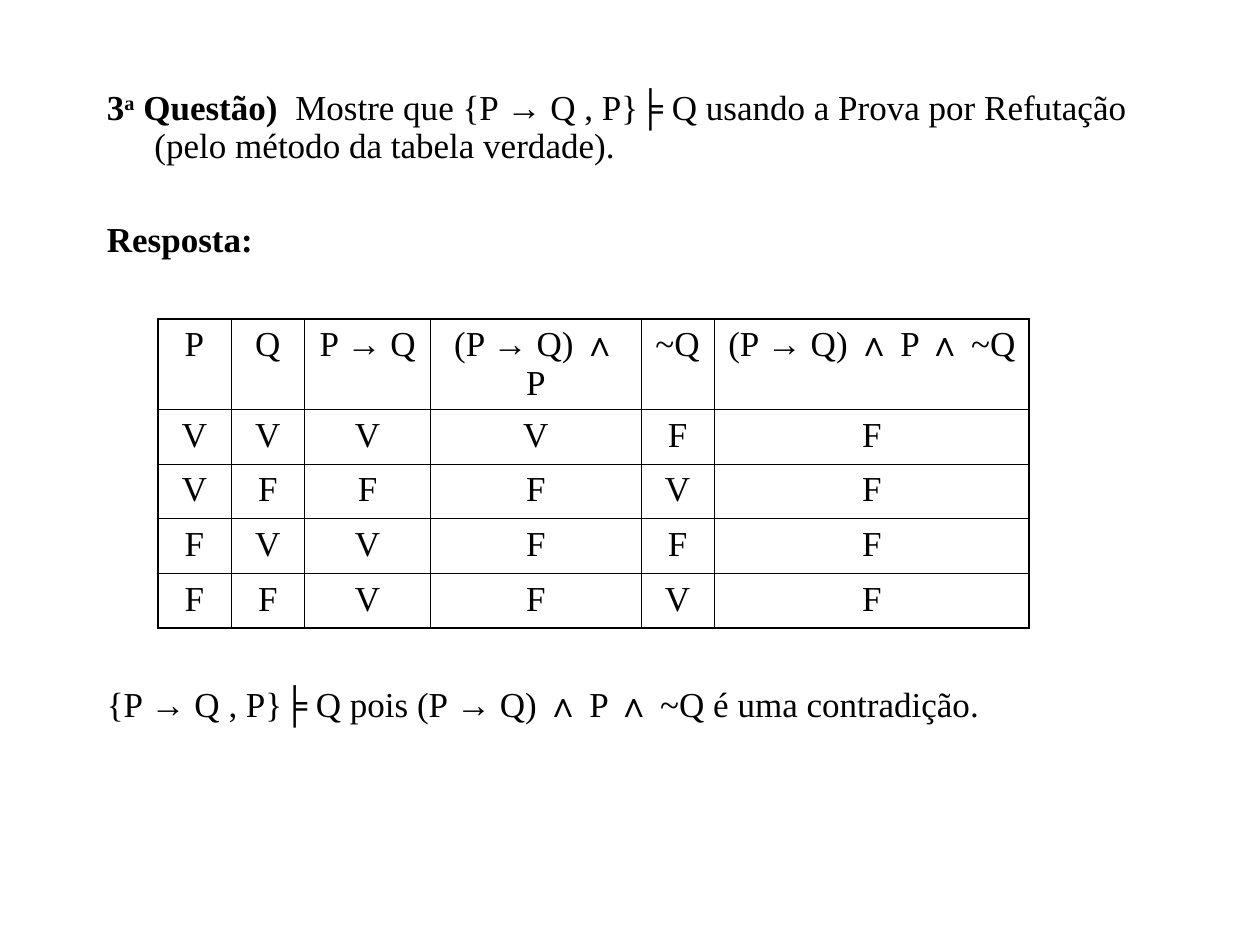
from dataclasses import dataclass
from itertools import groupby

from lxml.etree import SubElement
from pptx import Presentation
from pptx.dml.color import RGBColor
from pptx.enum.text import MSO_ANCHOR, MSO_AUTO_SIZE, PP_ALIGN
from pptx.oxml import parse_xml
from pptx.oxml.ns import nsdecls, qn
from pptx.util import Cm, Pt


@dataclass(frozen=True)
class Theme:
    """Colours, fonts and sizes of the slide."""
    ink: str = "000000"
    text_font: str = "Times New Roman"
    symbol_font: str = "Arial"
    size: float = 20
    space_before: float = 5
    inner_border: float = 0.45
    outer_border: float = 1.08


THEME = Theme()
SYMBOLS = "→∧"
COLUMN_WIDTHS = (1.48, 1.48, 2.54, 4.24, 1.48, 6.35)
ROW_HEIGHT = 1.1
TRUTH_TABLE = (
    ("P", "Q", "P → Q", "(P → Q) ∧ P", "~Q", "(P → Q) ∧ P ∧ ~Q"),
    *("VVVVFF", "VFFFVF", "FVVFFF", "FFVFVF"),
)


def format_paragraph(paragraph, alignment, space_before):
    """Give a paragraph the common type settings."""
    paragraph.alignment = alignment
    paragraph.space_before = Pt(space_before)
    paragraph.font.size = Pt(THEME.size)
    paragraph.font.color.rgb = RGBColor.from_string(THEME.ink)


def add_formula(paragraph, text, bold=False, superscript=False):
    """Add text, setting logical symbols in the symbol font."""
    for is_symbol, letters in groupby(text, lambda letter: letter in SYMBOLS):
        run = paragraph.add_run()
        run.text = "".join(letters)
        run.font.name = THEME.symbol_font if is_symbol else THEME.text_font
        run.font.bold = bold
        if superscript:
            run.font._element.set("baseline", "30000")


def format_body_paragraph(paragraph, alignment=PP_ALIGN.LEFT, space_before=THEME.space_before):
    """Set a body paragraph without a bullet and with a hanging indent."""
    format_paragraph(paragraph, alignment, space_before)
    paragraph.line_spacing = 0.9
    properties = paragraph._p.get_or_add_pPr()
    properties.set("marL", str(Cm(0.96)))
    properties.set("indent", str(Cm(-0.96)))
    properties.insert_element_before(
        parse_xml(f"<a:buNone {nsdecls('a')}/>"), "a:tabLst", "a:defRPr", "a:extLst")


def fill_body(body):
    """Write the question, the answer heading and the conclusion."""
    body.left, body.top, body.width, body.height = Cm(1.9), Cm(1.7), Cm(21.6), Cm(15.24)
    frame = body.text_frame
    frame.word_wrap = True
    frame.auto_size = MSO_AUTO_SIZE.NONE
    frame.vertical_anchor = MSO_ANCHOR.TOP

    question = frame.paragraphs[0]
    format_body_paragraph(question)
    add_formula(question, "3", bold=True)
    add_formula(question, "a", bold=True, superscript=True)
    add_formula(question, " Questão)  ", bold=True)
    add_formula(question, "Mostre que {P → Q , P}╞ Q usando a Prova por Refutação "
                          "(pelo método da tabela verdade).")

    answer = frame.add_paragraph()
    format_body_paragraph(answer, space_before=32)
    add_formula(answer, "Resposta:", bold=True)

    conclusion = frame.add_paragraph()
    format_body_paragraph(conclusion, PP_ALIGN.JUSTIFY, 244)
    add_formula(conclusion, "{P → Q , P}╞ Q pois (P → Q) ∧ P ∧ ~Q é uma contradição.")


def set_borders(cell, outer_sides):
    """Draw the four borders of a cell, heavier on the table's outer sides."""
    properties = cell._tc.get_or_add_tcPr()
    for position, side in enumerate("LRTB"):
        weight = THEME.outer_border if side in outer_sides else THEME.inner_border
        line = SubElement(properties, qn(f"a:ln{side}"), w=str(Pt(weight)))
        fill = SubElement(line, qn("a:solidFill"))
        SubElement(fill, qn("a:srgbClr"), val=THEME.ink)
        properties.insert(position, line)


def add_truth_table(slide):
    """Add the truth table."""
    row_count, column_count = len(TRUTH_TABLE), len(COLUMN_WIDTHS)
    table = slide.shapes.add_table(
        row_count, column_count, Cm(3.18), Cm(6.43),
        Cm(sum(COLUMN_WIDTHS)), Cm(ROW_HEIGHT * row_count)).table
    table.first_row = table.horz_banding = False
    for column, width in zip(table.columns, COLUMN_WIDTHS):
        column.width = Cm(width)
    for row_index, values in enumerate(TRUTH_TABLE):
        for column_index, value in enumerate(values):
            cell = table.cell(row_index, column_index)
            cell.fill.background()
            edges = {"L": column_index == 0, "R": column_index == column_count - 1,
                     "T": row_index == 0, "B": row_index == row_count - 1}
            set_borders(cell, [side for side, is_outer in edges.items() if is_outer])
            paragraph = cell.text_frame.paragraphs[0]
            format_paragraph(paragraph, PP_ALIGN.CENTER, THEME.space_before)
            add_formula(paragraph, value)


def main():
    """Build and save the slide."""
    presentation = Presentation()
    presentation.slide_width, presentation.slide_height = Cm(25.4), Cm(19.05)
    slide = presentation.slides.add_slide(presentation.slide_layouts[1])
    title = slide.shapes.title._element
    title.getparent().remove(title)
    fill_body(slide.placeholders[1])
    add_truth_table(slide)
    presentation.save("out.pptx")


if __name__ == "__main__":
    main()
